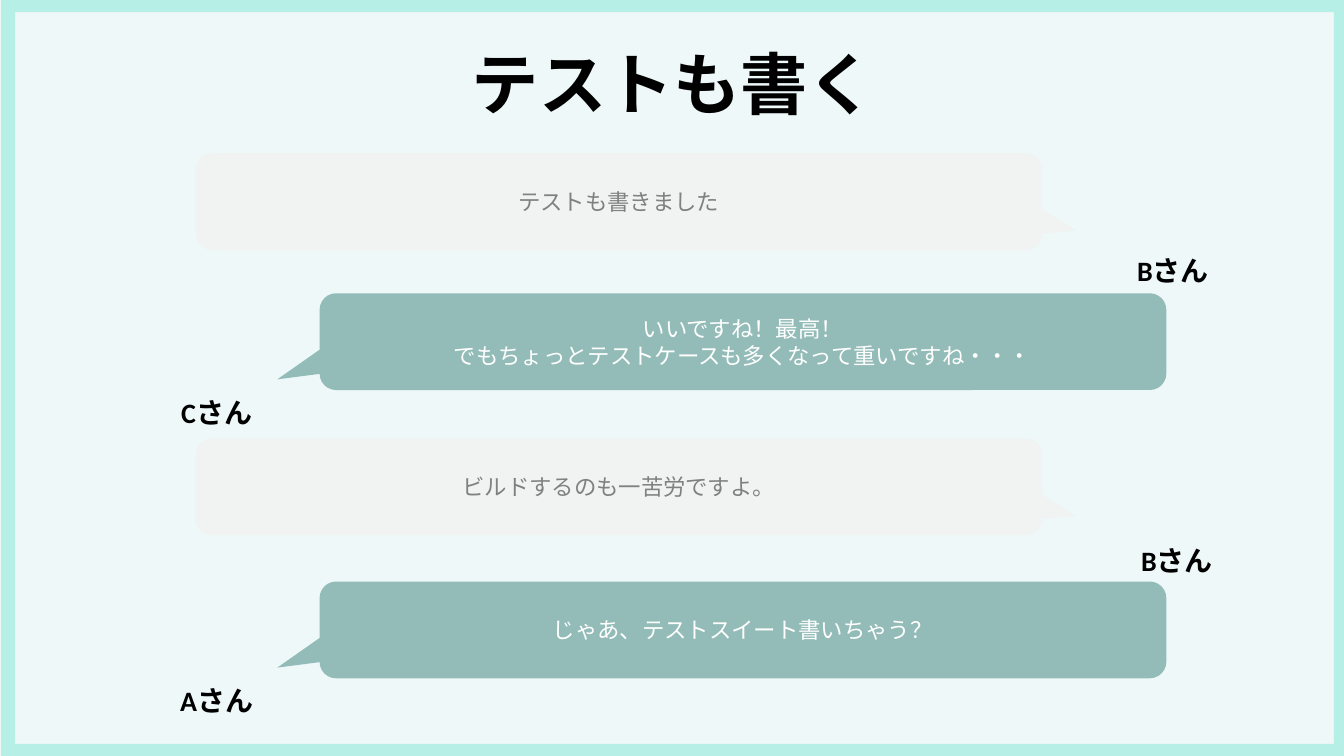
from typing import NamedTuple

from lxml import etree
from pptx import Presentation
from pptx import util as u
from pptx.dml.color import RGBColor
from pptx.enum import shapes, text
from pptx.oxml.ns import qn

WIDE, HIGH = 13.33, 7.5
FONT = "Calibri"
HUES = {
    "page": "E8F6F7",
    "frame": "B6EFE5",
    "pale": "F2F2F2",
    "teal": "8AB7B2",
    "gray": "808080",
    "white": "FFFFFF",
    "black": "000000",
}


class Box(NamedTuple):
    """Place and size in percent of the slide's width and height."""
    left: float
    top: float
    width: float
    height: float

    def spread(self) -> list[u.Inches]:
        """Left, top, width and height as lengths."""
        sides = (WIDE, HIGH, WIDE, HIGH)
        return [u.Inches(part * side / 100) for part, side in zip(self, sides)]


class Side(NamedTuple):
    """Look of the bubbles on one side of the talk."""
    left: float
    tail: tuple[float, float]
    fill: str
    ink: str


class Turn(NamedTuple):
    name: str
    tag: Box
    side: Side
    top: float
    lines: tuple[str, ...]


BARS = (
    Box(0.08, 0, 99.92, 1.6),
    Box(0.08, 98.4, 99.92, 1.6),
    Box(0.08, 0.8, 1.05, 98.4),
    Box(99.25, 0, 0.75, 99.2),
)
ASK = Side(14.55, (0.54, 0.3), "pale", "gray")
REPLY = Side(23.78, (-0.55, 0.39), "teal", "white")
TURNS = (
    Turn("Bさん", Box(82.67, 33.33, 9.23, 5.33), ASK, 20.27,
         ("テストも書きました",)),
    Turn("Bさん", Box(82.97, 71.73, 9.23, 5.33), ASK, 58,
         ("ビルドするのも一苦労ですよ。",)),
    Turn("Cさん", Box(11.33, 51.33, 9.6, 7.07), REPLY, 38.8,
         ("いいですね！最高！",
          "でもちょっとテストケースも多くなって重いですね・・・")),
    Turn("Aさん", Box(11.33, 89.33, 9.6, 7.07), REPLY, 76.93,
         ("じゃあ、テストスイート書いちゃう？",)),
)


def paint(fill, hue: str) -> None:
    fill.solid()
    fill.fore_color.rgb = RGBColor.from_string(HUES[hue])


def fade(part, share: int) -> None:
    """Make the first colour in an element opaque by this percentage only."""
    tint = next(part.iter(qn("a:srgbClr")))
    etree.SubElement(tint, qn("a:alpha")).set("val", str(share * 1000))


def write(shape, lines: tuple[str, ...], size: int, hue: str,
          bold: bool = False, pitch: float = 1.0) -> None:
    frame = shape.text_frame
    frame.word_wrap = True
    frame.auto_size = text.MSO_AUTO_SIZE.NONE
    frame.vertical_anchor = text.MSO_ANCHOR.MIDDLE
    for rank, line in enumerate(lines):
        para = frame.add_paragraph() if rank else frame.paragraphs[0]
        para.alignment = text.PP_ALIGN.CENTER
        para.line_spacing = pitch
        run = para.add_run()
        run.text = line
        run.font.name = FONT
        run.font.size = u.Pt(size)
        run.font.bold = bold
        run.font.color.rgb = RGBColor.from_string(HUES[hue])


def block(group, kind, box: Box, hue: str):
    """Add a flat shape without outline or shadow."""
    shape = group.shapes.add_shape(kind, *box.spread())
    shape.shadow.inherit = False
    shape.line.fill.background()
    paint(shape.fill, hue)
    return shape


def speak(slide, turn: Turn) -> None:
    """Draw one speaker's name and bubble."""
    group = slide.shapes.add_group_shape()
    tag = group.shapes.add_textbox(*turn.tag.spread())
    write(tag, (turn.name,), 20, "black", bold=True, pitch=0.9)
    side = turn.side
    bubble = block(group, shapes.MSO_SHAPE.ROUNDED_RECTANGULAR_CALLOUT,
                   Box(side.left, turn.top, 63, 12.8), side.fill)
    for rank, value in enumerate((*side.tail, 0.17)):
        bubble.adjustments[rank] = value
    fade(bubble.fill._xPr, 91)
    write(bubble, turn.lines, 16, side.ink)


def main() -> None:
    deck = Presentation()
    deck.slide_width, deck.slide_height = u.Inches(WIDE), u.Inches(HIGH)
    slide = deck.slides.add_slide(deck.slide_layouts[5])
    paint(slide.background.fill, "page")
    fade(slide.background._cSld, 70)

    frame = slide.shapes.add_group_shape()
    for bar in BARS:
        block(frame, shapes.MSO_SHAPE.RECTANGLE, bar, "frame")

    title = slide.shapes.title
    title.left, title.top, title.width, title.height = Box(
        6.98, 2, 86.27, 19.33).spread()
    write(title, ("テストも書く",), 48, "black", bold=True, pitch=0.9)

    for turn in TURNS:
        speak(slide, turn)
    deck.save("out.pptx")


if __name__ == "__main__":
    main()
